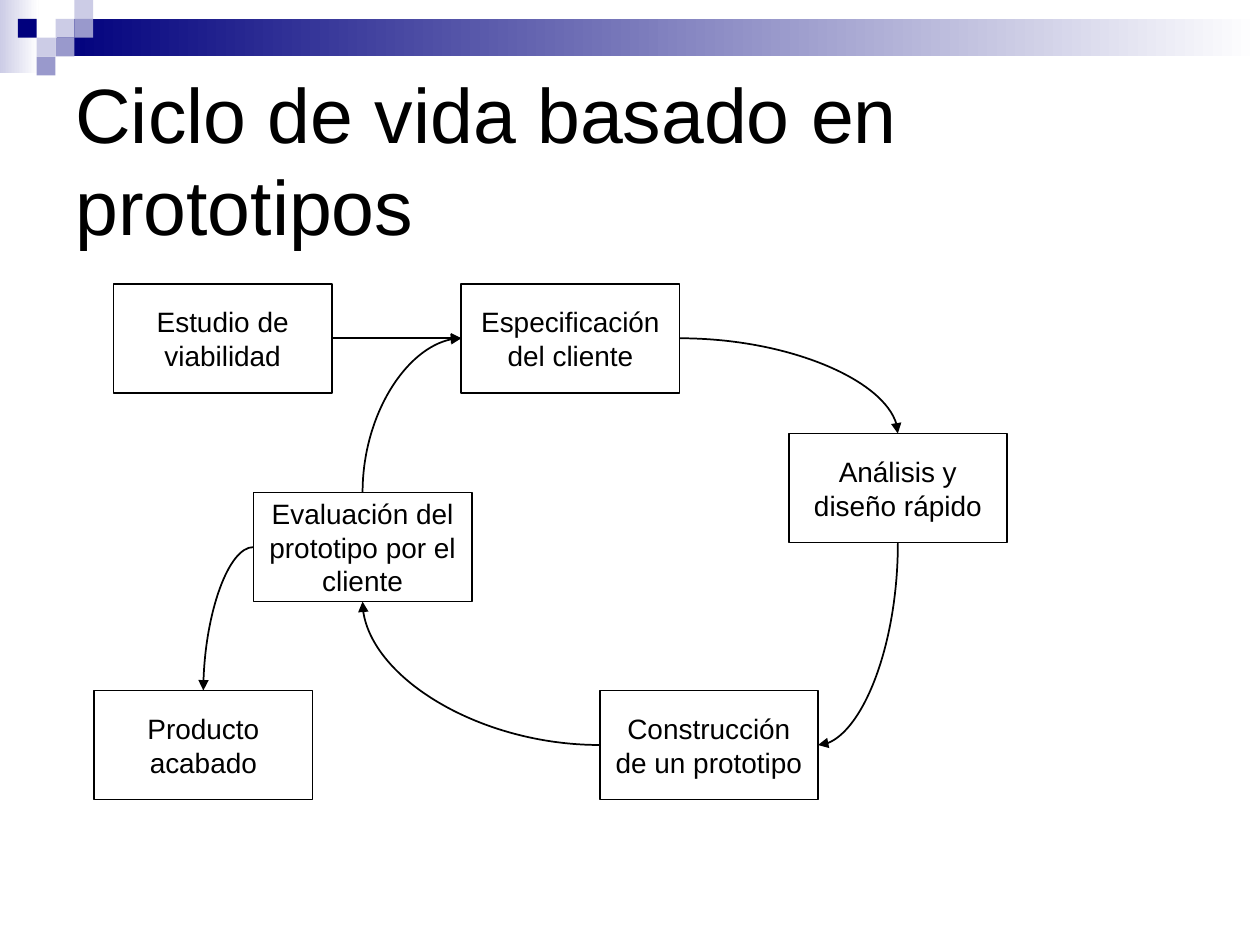
from dataclasses import dataclass

from lxml.etree import SubElement
from pptx import Presentation
from pptx.dml.color import RGBColor
from pptx.enum.shapes import MSO_CONNECTOR, MSO_SHAPE
from pptx.enum.text import MSO_ANCHOR, PP_ALIGN
from pptx.oxml.ns import qn
from pptx.shapes.autoshape import Shape
from pptx.slide import Slide
from pptx.text.text import TextFrame
from pptx.util import Cm, Pt


@dataclass(frozen=True)
class Theme:
    font: str = "Arial"
    title_size: int = 44
    box_size: int = 16
    line_width: int = 1
    ink: str = "000000"
    paper: str = "FFFFFF"
    navy: str = "00007D"
    violet: str = "9999CC"
    lilac: str = "CCCCE6"


@dataclass(frozen=True)
class Point:
    x: float
    y: float


@dataclass(frozen=True)
class Stage:
    """A step of the cycle; lengths in centimetres."""
    text: str
    left: float
    top: float
    width: float = 4.4
    height: float = 2.2

    def side(self, name: str) -> Point:
        across, down = {"left": (0, 0.5), "right": (1, 0.5),
                        "top": (0.5, 0), "bottom": (0.5, 1)}[name]
        return Point(self.left + across * self.width, self.top + down * self.height)


@dataclass(frozen=True)
class Flow:
    source: Stage
    source_side: str
    target: Stage
    target_side: str


@dataclass(frozen=True)
class Tile:
    column: int
    row: int
    colour: str


THEME = Theme()
TILE_SIZE = 0.38
TILE_LEFT = 0.36
TILES = [
    Tile(2, 1, THEME.lilac),
    Tile(3, 0, THEME.lilac),
    Tile(3, 1, THEME.violet),
    Tile(1, 2, THEME.lilac),
    Tile(0, 1, THEME.navy),
    Tile(2, 2, THEME.violet),
    Tile(1, 3, THEME.violet),
]

STUDY = Stage("Estudio de viabilidad", 2.29, 5.72)
SPECIFICATION = Stage("Especificación del cliente", 9.3, 5.72)
DESIGN = Stage("Análisis y diseño rápido", 15.9, 8.74)
CONSTRUCTION = Stage("Construcción de un prototipo", 12.09, 13.92)
EVALUATION = Stage("Evaluación del prototipo por el cliente", 5.11, 9.93)
PRODUCT = Stage("Producto acabado", 1.9, 13.92)
STAGES = [SPECIFICATION, CONSTRUCTION, DESIGN, EVALUATION, PRODUCT, STUDY]
FLOWS = [
    Flow(SPECIFICATION, "right", DESIGN, "top"),
    Flow(DESIGN, "bottom", CONSTRUCTION, "right"),
    Flow(CONSTRUCTION, "left", EVALUATION, "bottom"),
    Flow(EVALUATION, "top", SPECIFICATION, "left"),
    Flow(EVALUATION, "left", PRODUCT, "top"),
    Flow(STUDY, "right", SPECIFICATION, "left"),
]


def add_rectangle(page: Slide, left: float, top: float, width: float, height: float) -> Shape:
    box = page.shapes.add_shape(MSO_SHAPE.RECTANGLE, Cm(left), Cm(top), Cm(width), Cm(height))
    box.shadow.inherit = False
    box.line.fill.background()
    return box


def add_fading_band(page: Slide, left: float, top: float, width: float,
                    height: float, colour: str) -> None:
    fill = add_rectangle(page, left, top, width, height).fill
    fill.gradient()
    fill.gradient_angle = 0
    for stop, shade in zip(fill.gradient_stops, (colour, THEME.paper)):
        stop.color.rgb = RGBColor.from_string(shade)


def add_tile(page: Slide, tile: Tile) -> None:
    box = add_rectangle(page, TILE_LEFT + tile.column * TILE_SIZE, tile.row * TILE_SIZE,
                        TILE_SIZE, TILE_SIZE)
    box.fill.solid()
    box.fill.fore_color.rgb = RGBColor.from_string(tile.colour)


def write(frame: TextFrame, text: str, size: int, alignment: PP_ALIGN) -> None:
    frame.word_wrap = True
    frame.vertical_anchor = MSO_ANCHOR.MIDDLE
    para = frame.paragraphs[0]
    para.text = text
    para.alignment = alignment
    para.font.name = THEME.font
    para.font.size = Pt(size)
    para.font.color.rgb = RGBColor.from_string(THEME.ink)


def add_stage(page: Slide, stage: Stage) -> None:
    box = add_rectangle(page, stage.left, stage.top, stage.width, stage.height)
    box.fill.background()
    box.line.color.rgb = RGBColor.from_string(THEME.ink)
    box.line.width = Pt(THEME.line_width)
    write(box.text_frame, stage.text, THEME.box_size, PP_ALIGN.CENTER)


def add_flow(page: Slide, flow: Flow) -> None:
    """Draw a quarter-curve arrow; one that leaves vertically is a quarter turn of the preset."""
    begin = flow.source.side(flow.source_side)
    end = flow.target.side(flow.target_side)
    vertical = flow.source_side in ("top", "bottom")
    if vertical:
        middle = Point((begin.x + end.x) / 2, (begin.y + end.y) / 2)
        half = Point((end.y - begin.y) / 2, (begin.x - end.x) / 2)
        begin = Point(middle.x - half.x, middle.y - half.y)
        end = Point(middle.x + half.x, middle.y + half.y)
    arrow = page.shapes.add_connector(MSO_CONNECTOR.CURVE, Cm(begin.x), Cm(begin.y),
                                      Cm(end.x), Cm(end.y))
    arrow.line.color.rgb = RGBColor.from_string(THEME.ink)
    arrow.line.width = Pt(THEME.line_width)
    properties = arrow._element.spPr
    properties.find(qn("a:prstGeom")).set("prst", "curvedConnector2")
    if vertical:
        properties.find(qn("a:xfrm")).set("rot", "5400000")
    SubElement(properties.find(qn("a:ln")), qn("a:tailEnd"), type="triangle")
    SubElement(properties, qn("a:effectLst"))


def main() -> None:
    deck = Presentation()
    deck.slide_width, deck.slide_height = Cm(25.4), Cm(19.05)
    page = deck.slides.add_slide(deck.slide_layouts[6])

    add_fading_band(page, 0, 0, 0.78, 1.48, THEME.lilac)
    add_fading_band(page, 1.14, 0.38, 24.26, 0.76, THEME.navy)
    for tile in TILES:
        add_tile(page, tile)

    title = page.shapes.add_textbox(Cm(1.27), Cm(1.2), Cm(22.86), Cm(4))
    write(title.text_frame, "Ciclo de vida basado en prototipos", THEME.title_size, PP_ALIGN.LEFT)

    for stage in STAGES:
        add_stage(page, stage)
    for flow in FLOWS:
        add_flow(page, flow)
    deck.save("out.pptx")


if __name__ == "__main__":
    main()
